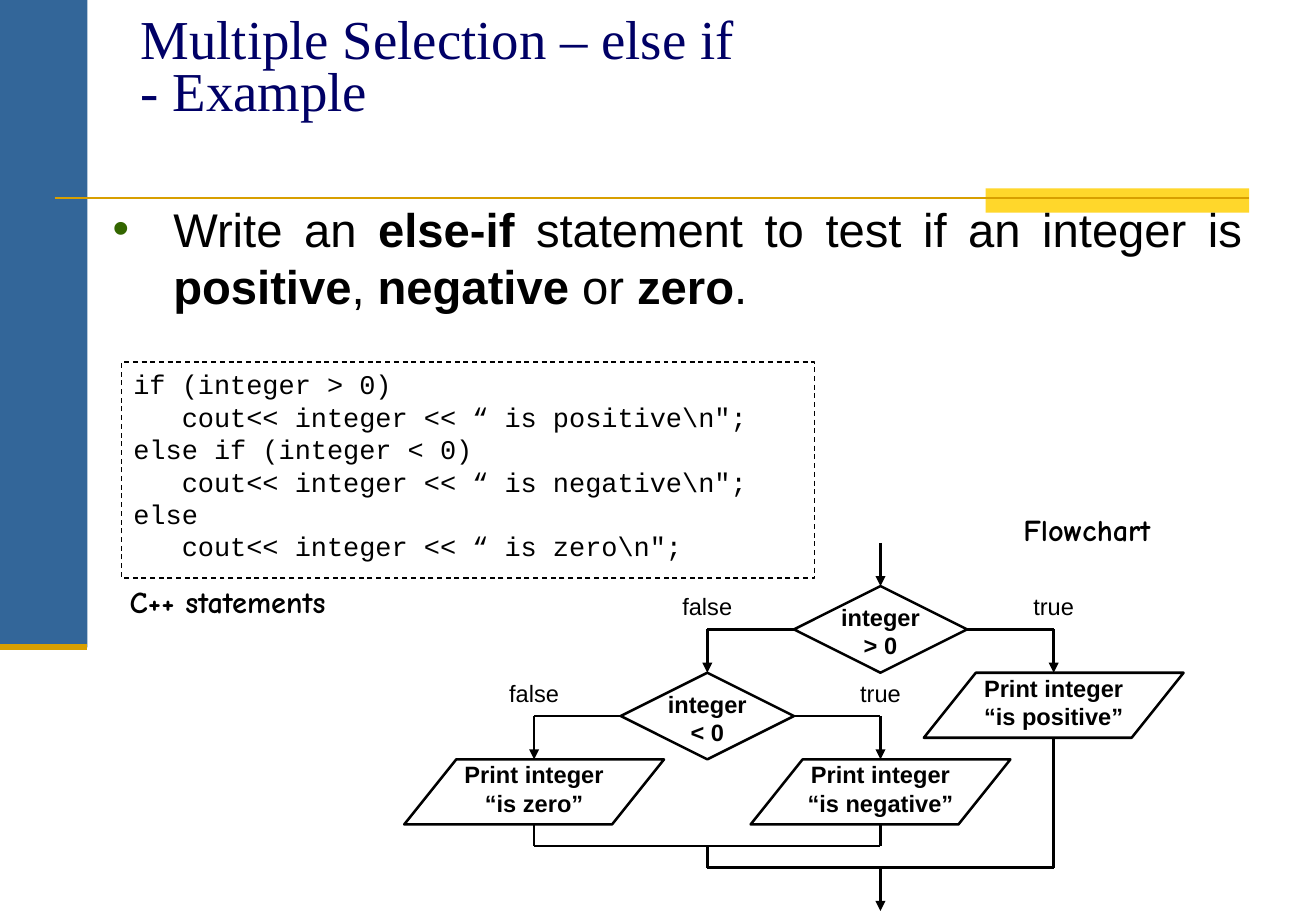
from lxml import etree
from pptx import Presentation, util as u
from pptx.dml.color import RGBColor
from pptx.enum import dml, shapes, text
from pptx.oxml.ns import qn

# Colours
BLUE = RGBColor(0x33, 0x66, 0x99)
YELLOW = RGBColor(0xFF, 0xD7, 0x2B)
GOLD = RGBColor(0xD8, 0x9F, 0x00)
NAVY = RGBColor(0x00, 0x00, 0x66)
BLACK = RGBColor(0, 0, 0)
WHITE = RGBColor(0xFF, 0xFF, 0xFF)

# Content: ** switches bold on and off
TITLE = ["Multiple Selection – else if", "- Example"]
TASK = ["Write an **else-if** statement to test if an integer is "
        "**positive**, **negative** or **zero**."]
CODE = [
    'if (integer > 0)',
    r'   cout<< integer << “ is positive\n";',
    'else if (integer < 0)',
    r'   cout<< integer << “ is negative\n";',
    'else',
    r'   cout<< integer << “ is zero\n";',
]
# Captions: text and box in percent of the slide
CAPTIONS = [("C++ statements", (8.95, 63.33, 20.3, 7.2)),
            ("Flowchart", (76.85, 55.47, 13.19, 5.73))]

# Flowchart: centre column, top row, text
DECISIONS = [(4, 1, "> 0"), (2, 3, "< 0")]
OUTPUTS = [(6, 3, "“is positive”"), (0, 5, "“is zero”"), (4, 5, "“is negative”")]
LABELS = [(2, 1, "false"), (6, 1, "true"), (0, 3, "false"), (4, 3, "true")]
# Flows: (column, row) points, arrowhead at the end
FLOWS = [
    ([(4, 0), (4, 1)], True),
    ([(3, 2), (2, 2), (2, 3)], True),
    ([(5, 2), (6, 2), (6, 3)], True),
    ([(1, 4), (0, 4), (0, 5)], True),
    ([(3, 4), (4, 4), (4, 5)], True),
    ([(0, 6.5), (0, 7), (4, 7), (4, 6.5)], False),
    ([(2, 7), (2, 7.5), (6, 7.5), (6, 4.5)], False),
    ([(4, 7.5), (4, 8.5)], True),
]

# Slide and flowchart grid
W, H = u.Inches(10.84), u.Inches(7.5)
COL = 0.0658 * W
ROW = COL / 2
LEFT, TOP = 0.4059 * W, H - 8.5 * ROW

prs = Presentation()
prs.slide_width, prs.slide_height = W, H
s = prs.slides.add_slide(prs.slide_layouts[6])


def share(x, y, w, h):
    return [int(v) for v in (x * W / 100, y * H / 100, w * W / 100, h * H / 100)]


def cell(col, row):
    return int(LEFT + col * COL), int(TOP + row * ROW)


def centred(col, row, cols, rows):
    return (*cell(col - cols / 2, row), int(cols * COL), int(rows * ROW))


def write(tf, lines, size=14, font="Arial", color=BLACK, bold=False,
          align=text.PP_ALIGN.LEFT, spacing=None):
    tf.word_wrap = True
    tf.vertical_anchor = text.MSO_ANCHOR.TOP
    for i, line in enumerate(lines):
        p = tf.paragraphs[0] if i == 0 else tf.add_paragraph()
        p.alignment = align
        if spacing:
            p.line_spacing = spacing
        for j, part in enumerate(line.split("**")):
            r = p.add_run()
            r.text = part
            r.font.size, r.font.name = u.Pt(size), font
            r.font.bold = bold or j % 2 == 1
            r.font.color.rgb = color
    return tf


def textbox(box, lines, **fmt):
    return write(s.shapes.add_textbox(*box).text_frame, lines, **fmt)


def shape(kind, box, fill, line=None, width=1.5):
    sp = s.shapes.add_shape(kind, *box)
    sp.shadow.inherit = False
    sp.fill.solid()
    sp.fill.fore_color.rgb = fill
    if line is None:
        sp.line.fill.background()
    else:
        sp.line.color.rgb = line
        sp.line.width = u.Pt(width)
    return sp


def connect(start, end, color=BLACK, width=1.5, arrow=False):
    cx = s.shapes.add_connector(shapes.MSO_CONNECTOR.STRAIGHT, *start, *end)
    cx.line.color.rgb = color
    cx.line.width = u.Pt(width)
    if arrow:
        etree.SubElement(cx.line._get_or_add_ln(), qn("a:tailEnd"), type="triangle")
    etree.SubElement(cx._element.spPr, qn("a:effectLst"))


# Side band, highlight and rules
KIND = shapes.MSO_SHAPE
shape(KIND.RECTANGLE, share(0, 0, 6.64, 71.07), BLUE)
shape(KIND.RECTANGLE, share(74.91, 20.67, 20.02, 2.67), YELLOW)
for x1, x2, y, width in [(4.15, 94.93, 21.73, 1.5), (0, 6.64, 71.07, 3.5)]:
    connect(share(x1, y, 0, 0)[:2], share(x2, y, 0, 0)[:2], GOLD, width)

# Title and bulleted task
textbox(share(9.78, 1.2, 84.96, 16.67), TITLE, size=32.5,
        font="Times New Roman", color=NAVY, spacing=0.8)
tf = textbox(share(7.66, 21.33, 87.64, 22.27), TASK, size=28,
             align=text.PP_ALIGN.JUSTIFY)
pPr = tf.paragraphs[0]._p.get_or_add_pPr()
pPr.set("marL", str(u.Inches(0.5)))
pPr.set("indent", str(-u.Inches(0.5)))
etree.SubElement(etree.SubElement(pPr, qn("a:buClr")), qn("a:srgbClr"), val="336600")
etree.SubElement(pPr, qn("a:buFont"), typeface="Arial")
etree.SubElement(pPr, qn("a:buChar"), char="•")

# Flowchart symbols and their text
bold_centre = dict(bold=True, align=text.PP_ALIGN.CENTER)
for col, row, test in DECISIONS:
    shape(KIND.FLOWCHART_DECISION, centred(col, row, 2, 2), WHITE, BLACK)
    textbox(centred(col, row + 0.25, 1.5, 1.75), ["integer", test], **bold_centre)
for col, row, message in OUTPUTS:
    shape(KIND.FLOWCHART_DATA, centred(col, row, 3, 1.5), WHITE, BLACK)
    textbox(centred(col, row - 0.12, 2.5, 1.75), ["Print integer", message],
            **bold_centre)

# Flow lines and branch labels
for points, arrow in FLOWS:
    for i, (a, b) in enumerate(zip(points, points[1:]), 2):
        connect(cell(*a), cell(*b), arrow=arrow and i == len(points))
for col, row, label in LABELS:
    textbox(centred(col, row, 1, 1), [label], align=text.PP_ALIGN.CENTER)

# Code panel and captions
sp = shape(KIND.RECTANGLE, share(9.23, 39.73, 52.68, 23.73), WHITE, BLACK, 0.75)
sp.line.dash_style = dml.MSO_LINE.DASH
write(sp.text_frame, CODE, size=16, font="Courier New")
for caption, box in CAPTIONS:
    textbox(share(*box), [caption], size=18, font="Comic Neue", bold=True)

prs.save("out.pptx")
